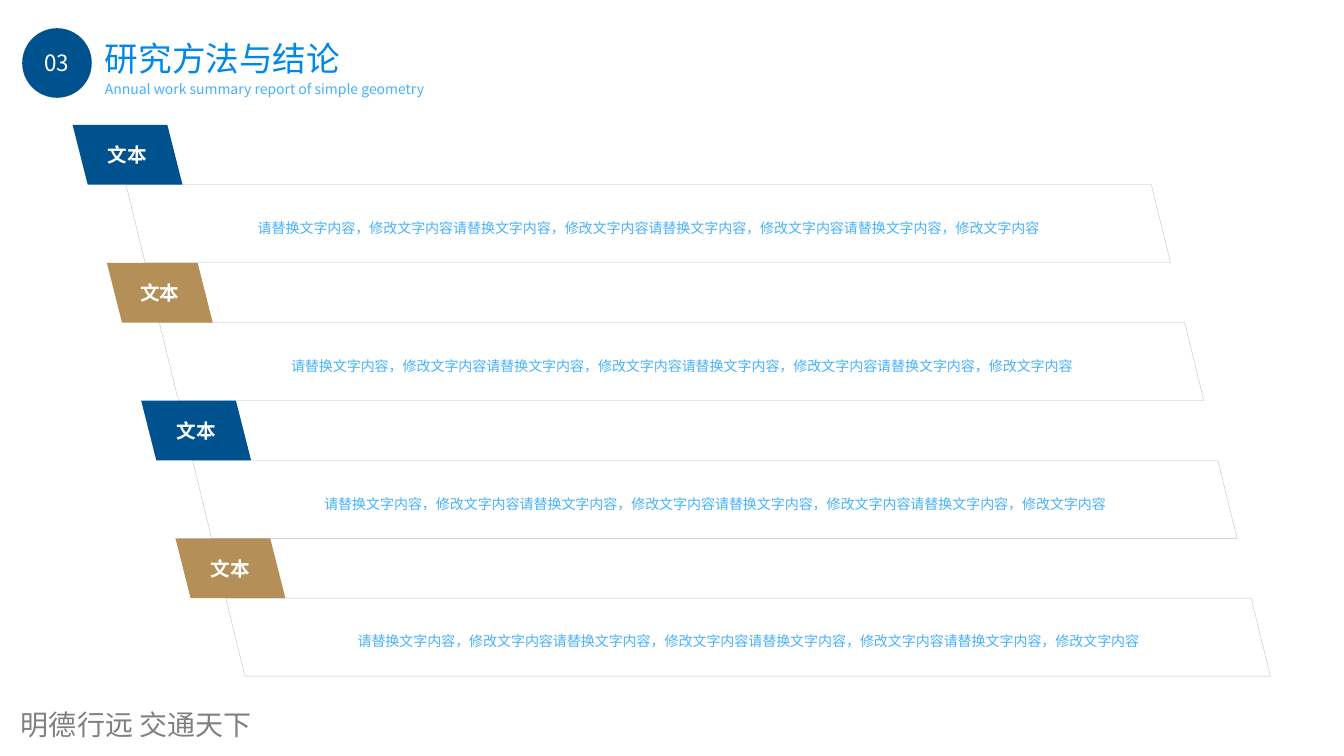
from lxml.etree import SubElement
from pptx import Presentation
from pptx.dml.color import RGBColor
from pptx.enum.shapes import MSO_SHAPE
from pptx.enum.text import MSO_ANCHOR, MSO_AUTO_SIZE, PP_ALIGN
from pptx.oxml.ns import qn
from pptx.util import Inches, Pt

SLIDE_WIDTH, SLIDE_HEIGHT = Inches(13.33), Inches(7.5)
COLUMN, ROW = SLIDE_WIDTH / 1333, SLIDE_HEIGHT / 750

COLORS = {
    "navy": "00528E",
    "gold": "B48F57",
    "blue": "0087EA",
    "sky": "47B1FF",
    "outline": "BFBFBF",
    "gray": "808080",
    "white": "FFFFFF",
}
FONT = "Noto Sans CJK SC"
FOOTER_FONT = "Noto Sans CJK JP"
BODY = "，".join(["请替换文字内容"] + ["修改文字内容请替换文字内容"] * 3 + ["修改文字内容"])
STEPS = [  # label, colour, tag width, body
    ("文本", "navy", 109, BODY),
    ("文本", "gold", 105, BODY),
    ("文本", "navy", 109, BODY),
    ("文本", "gold", 109, BODY),
]


def color(name):
    return RGBColor.from_string(COLORS[name])


def grid_box(left, top, width, height):
    return (round(left * COLUMN), round(top * ROW),
            round(width * COLUMN), round(height * ROW))


def write(shape, text, size, color_name, font=FONT, bold=False,
          align=PP_ALIGN.LEFT, anchor=MSO_ANCHOR.TOP, spacing=None, insets=None):
    frame = shape.text_frame
    frame.word_wrap = True
    frame.auto_size = MSO_AUTO_SIZE.NONE
    frame.vertical_anchor = anchor
    if insets:
        frame.margin_left = frame.margin_right = Inches(insets[0])
        frame.margin_top = frame.margin_bottom = Inches(insets[1])
    paragraph = frame.paragraphs[0]
    paragraph.alignment = align
    if spacing:
        paragraph.line_spacing = spacing
    run = paragraph.add_run()
    run.text = text
    run.font.size = Pt(size)
    run.font.bold = bold
    run.font.name = font
    run.font.color.rgb = color(color_name)
    SubElement(run.font._element, qn("a:ea"), typeface=font)


def write_centered(shape, text, size, color_name, **options):
    write(shape, text, size, color_name, align=PP_ALIGN.CENTER,
          anchor=MSO_ANCHOR.MIDDLE, **options)


def add_slanted_box(slide, left, top, width, height, slant):
    """Parallelogram whose lower edge is shifted right by slant."""
    right, bottom = left + width, top + height
    corners = [(left, top), (right - slant, top), (right, bottom), (left + slant, bottom)]
    points = [(round(x * COLUMN), round(y * ROW)) for x, y in corners]
    builder = slide.shapes.build_freeform(*points[0])
    builder.add_line_segments(points[1:], close=True)
    shape = builder.convert_to_shape()
    shape.shadow.inherit = False
    return shape


def add_heading(slide, left, top):
    badge = slide.shapes.add_shape(MSO_SHAPE.OVAL, *grid_box(left, top, 69, 69))
    badge.shadow.inherit = False
    badge.fill.solid()
    badge.fill.fore_color.rgb = color("navy")
    badge.line.fill.background()
    write_centered(badge, "03", 16, "white")

    title = slide.shapes.title
    title.left, title.top, title.width, title.height = grid_box(left + 75, top + 6, 276, 48)
    write(title, "研究方法与结论", 24, "blue", insets=(0.07, 0.04))
    subtitle = slide.shapes.add_textbox(*grid_box(left + 75, top + 48, 401, 24))
    write(subtitle, "Annual work summary report of simple geometry", 10, "sky",
          insets=(0.07, 0.04))


def add_step(slide, tag_left, band_left, top, step):
    label, fill, tag_width, body = step
    tag_height, band_height = 59.3, 77.4
    band = add_slanted_box(slide, band_left, top + tag_height, 1036, band_height, 19)
    band.fill.background()
    band.line.color.rgb = color("outline")
    band.line.width = Pt(0.25)
    write_centered(band, body, 10, "sky", spacing=1.5)

    tag = add_slanted_box(slide, tag_left, top, tag_width, tag_height, 15)
    tag.fill.solid()
    tag.fill.fore_color.rgb = color(fill)
    tag.line.fill.background()
    write_centered(tag, label, 14, "white", bold=True)


def add_staircase(slide, left, top):
    for index, step in enumerate(STEPS):
        add_step(slide, left + 34 * index, left + 53 + 33 * index, top + 136.7 * index, step)


def add_footer(slide, left, top):
    footer = slide.shapes.add_textbox(*grid_box(left, top, 394, 44))
    write(footer, "明德行远 交通天下", 20, "gray", font=FOOTER_FONT)


def main():
    presentation = Presentation()
    presentation.slide_width, presentation.slide_height = SLIDE_WIDTH, SLIDE_HEIGHT
    slide = presentation.slides.add_slide(presentation.slide_layouts.get_by_name("Title Only"))
    add_footer(slide, 11, 697)
    add_staircase(slide, 72, 124)
    add_heading(slide, 22, 28)
    presentation.save("out.pptx")


if __name__ == "__main__":
    main()
